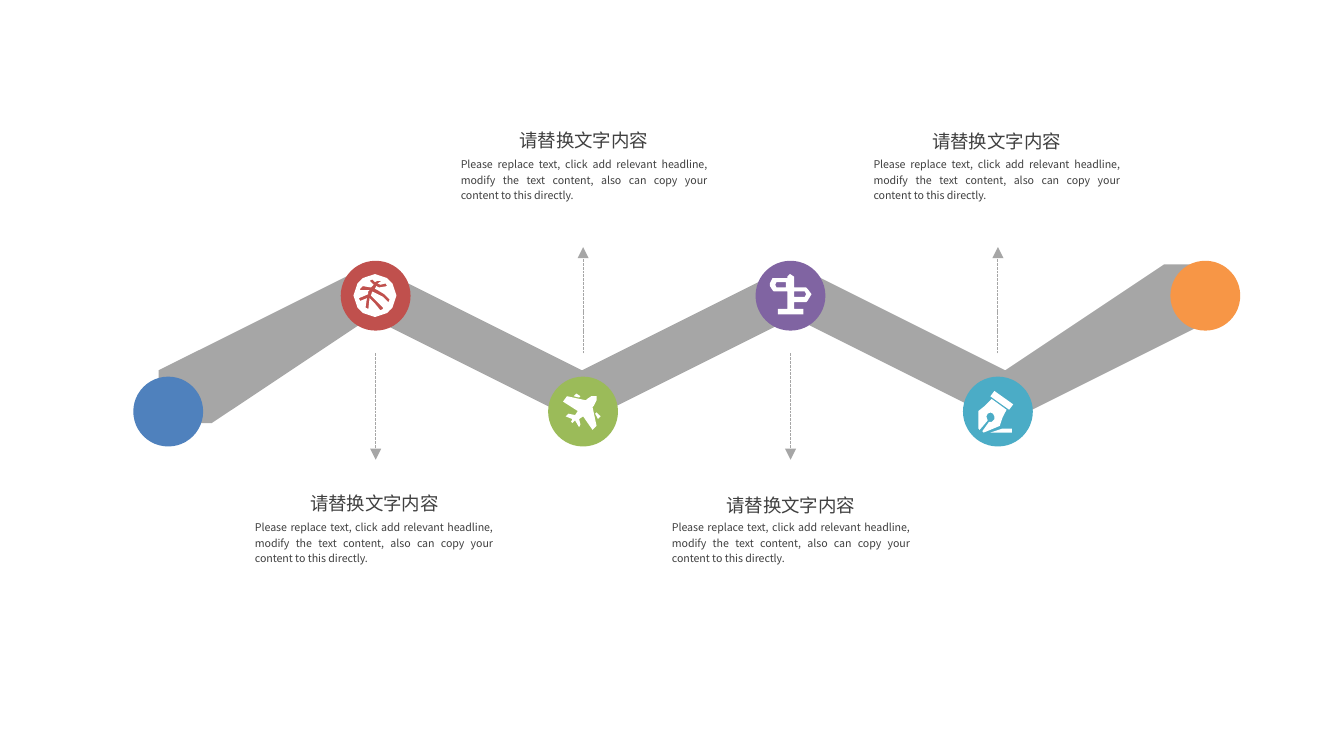
import math

import pptx
import pptx.dml.color
import pptx.enum.dml
import pptx.enum.shapes
import pptx.enum.text
import pptx.oxml.ns
import pptx.util
from lxml import etree

Cm, Pt = pptx.util.Cm, pptx.util.Pt
RGBColor = pptx.dml.color.RGBColor
Shape = pptx.enum.shapes.MSO_SHAPE
Align = pptx.enum.text.PP_ALIGN
qn = pptx.oxml.ns.qn

GRAY = RGBColor(0xA6, 0xA6, 0xA6)
INK = RGBColor(0x40, 0x40, 0x40)
WHITE = RGBColor(0xFF, 0xFF, 0xFF)
BLUE = RGBColor(0x4F, 0x81, 0xBD)
RED = RGBColor(0xC0, 0x50, 0x4D)
GREEN = RGBColor(0x9B, 0xBB, 0x59)
PURPLE = RGBColor(0x80, 0x64, 0xA2)
TEAL = RGBColor(0x4B, 0xAC, 0xC6)
ORANGE = RGBColor(0xF7, 0x96, 0x46)

FONT = "Noto Sans CJK SC"
TITLE = "请替换文字内容"
BODY = ("Please replace text, click add relevant headline, modify the text "
        "content, also can copy your content to this directly.")


def arc(x, y, r, start, sweep, steps=32):
    """Points along an arc, angles in radians."""
    turns = [start + sweep * i / steps for i in range(steps + 1)]
    return [(x + r * math.cos(t), y + r * math.sin(t)) for t in turns]


def band(knots, r):
    """Outline of a bent band: round outer joints, sharp inner ones."""
    loop = knots + knots[-2:0:-1]
    edge = []
    for i, (x, y) in enumerate(loop):
        px, py = loop[i - 1]
        nx, ny = loop[(i + 1) % len(loop)]
        head = math.atan2(y - py, x - px)
        turn = (math.atan2(ny - y, nx - x) - head) % math.tau
        side = head - math.pi / 2
        if turn < math.pi + 0.1:
            edge += arc(x, y, r, side, turn)
        else:
            half = turn / 2 - math.pi
            edge += arc(x, y, r / math.cos(half), side + half, 0, 1)
    return edge


class Deck:
    def __init__(self):
        self.prs = pptx.Presentation()
        self.prs.slide_width, self.prs.slide_height = Cm(25.4), Cm(14.29)
        self.slide = self.prs.slides.add_slide(self.prs.slide_layouts[6])
        self.items = self.slide.shapes

    def paint(self, shape, color):
        shape.shadow.inherit = False
        shape.fill.solid()
        shape.fill.fore_color.rgb = color
        shape.line.fill.background()

    def outline(self, x, y, unit, color, rings):
        pen = self.items.build_freeform(*rings[0][0], scale=Cm(unit))
        pen.add_line_segments(rings[0][1:])
        for ring in rings[1:]:
            pen.move_to(*ring[0])
            pen.add_line_segments(ring[1:])
        self.paint(pen.convert_to_shape(Cm(x), Cm(y)), color)

    def disk(self, x, y, size, color):
        shape = self.items.add_shape(Shape.ROUNDED_RECTANGLE, Cm(x - size / 2),
                                     Cm(y - size / 2), Cm(size), Cm(size))
        shape.adjustments[0] = 0.5
        self.paint(shape, color)

    def arrow(self, x, top, end):
        line = self.items.add_connector(pptx.enum.shapes.MSO_CONNECTOR.STRAIGHT,
                                        Cm(x), Cm(top), Cm(x), Cm(end))
        line.line.color.rgb = GRAY
        look = {"width": Pt(0.5),
                "dash_style": pptx.enum.dml.MSO_LINE.SQUARE_DOT}
        for key, val in look.items():
            setattr(line.line, key, val)
        etree.SubElement(line.line._get_or_add_ln(), qn("a:tailEnd"),
                         type="triangle")
        etree.SubElement(line._element.spPr, qn("a:effectLst"))

    def text(self, x, y, w, h, words, size, align, wrap):
        box = self.items.add_textbox(Cm(x), Cm(y), Cm(w), Cm(h))
        frame = box.text_frame
        par = frame.paragraphs[0]
        run = par.add_run()
        run.text = words
        looks = {frame: {"word_wrap": wrap,
                         "auto_size": pptx.enum.text.MSO_AUTO_SIZE.SHAPE_TO_FIT_TEXT},
                 par: {"alignment": align, "line_spacing": 1.2},
                 run.font: {"size": Pt(size), "name": FONT}}
        for part, look in looks.items():
            for key, val in look.items():
                setattr(part, key, val)
        run.font.color.rgb = INK
        etree.SubElement(run._r.get_or_add_rPr(), qn("a:ea"), typeface=FONT)


# Icon rings, in hundredths of an inch
BALL = [
    arc(16, 16, 15.5, 0, math.tau),
    [(7, 9), (5, 11), (5, 12), (12, 12), (11, 13), (11, 15), (4, 18), (5, 20),
     (10, 18), (9, 25), (11, 26), (11, 27), (12, 18), (16, 22), (20, 27),
     (22, 26), (22, 25), (18, 21), (13, 16), (14, 13), (16, 14), (22, 17),
     (26, 21), (27, 19), (23, 15), (18, 12), (16, 11), (17, 9), (19, 10),
     (25, 9), (24, 7), (20, 8), (18, 7), (21, 5), (18, 5), (16, 6), (14, 4),
     (12, 5), (15, 8), (13, 10)],
]
SIGN = [
    [(12, 6), (5, 6), (4, 8), (5, 10), (12, 10)],
    [(18, 10), (27, 10), (28, 11), (31, 15), (28, 20), (27, 21), (18, 21),
     (18, 26), (25, 26), (25, 30), (6, 30), (6, 26), (13, 26), (13, 13),
     (3, 13), (2, 12), (0, 9), (0, 7), (2, 3), (13, 3), (13, 2), (15, 0),
     (18, 2)],
    [(26, 13), (18, 13), (18, 17), (26, 17), (27, 15)],
]
PLANE = [
    [(25, 2), (25, 5), (23, 9), (22, 10), (25, 24), (22, 27), (15, 17),
     (12, 19), (13, 23), (12, 25), (9, 20), (7, 22), (6, 21), (7, 19),
     (2, 17), (4, 15), (9, 16), (11, 13), (0, 6), (3, 2), (17, 5), (18, 4),
     (21, 2)],
    [(28, 17), (25, 14), (24, 15), (26, 19)],
    [(10, 0), (8, 2), (12, 3), (13, 2)],
]
NIB = [
    [(1, 29), (0, 28), (0, 15), (5, 11), (10, 6), (21, 14), (18, 20), (16, 26),
     (4, 31), (3, 30), (8, 23), (10, 23), (12, 21), (12, 19), (11, 17),
     (9, 16), (7, 17), (6, 19), (7, 22)],
    [(9, 31), (25, 31), (25, 28), (18, 28)],
    [(23, 14), (26, 10), (12, 0), (9, 4)],
]


def main():
    deck = Deck()

    # Zigzag band
    xs = [3.18 + 3.92 * i for i in range(6)]
    knots = [(x, 5.56 if i % 2 else 7.82) for i, x in enumerate(xs)]
    deck.outline(0, 0, 1, GRAY, [band(knots, 0.66)])

    # Disks on the joints
    for i, color in enumerate([BLUE, RED, GREEN, PURPLE, TEAL, ORANGE]):
        deck.disk(xs[i], 5.59 if i % 2 else 7.78, 1.32, color)

    # Icons
    for x, y, rings in [(6.68, 5.18, BALL), (14.55, 5.18, SIGN),
                        (10.64, 7.44, PLANE), (18.49, 7.39, NIB)]:
        deck.outline(x, y, 0.0254, WHITE, rings)

    # Arrows: down from peaks, up from dips
    for i in range(1, 5):
        deck.arrow(xs[i], 6.68, 8.69 if i % 2 else 4.67)

    # Notes: title left and top, body left, top and width
    for tx, ty, bx, by, w in [(5.59, 9.09, 4.57, 9.68, 5),
                              (13.46, 9.14, 12.45, 9.68, 5),
                              (9.55, 2.24, 8.46, 2.82, 5.16),
                              (17.35, 2.26, 16.26, 2.82, 5.16)]:
        deck.text(tx, ty, 2.97, 0.76, TITLE, 9.9, Align.CENTER, False)
        deck.text(bx, by, w, 1.12, BODY, 5.7, Align.JUSTIFY, True)

    deck.prs.save("out.pptx")


if __name__ == "__main__":
    main()
